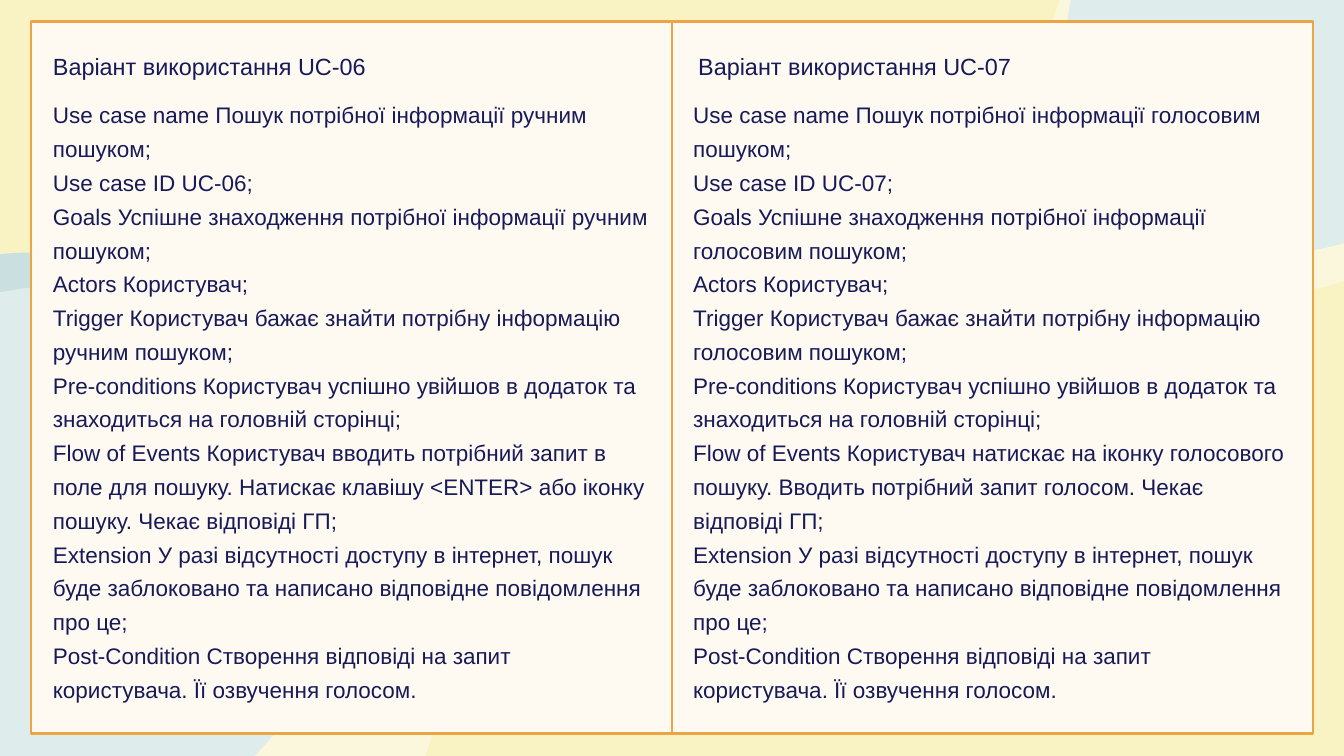
from dataclasses import dataclass

from pptx import Presentation
from pptx.dml.color import RGBColor
from pptx.enum.shapes import MSO_SHAPE as SHAPE
from pptx.enum.text import MSO_ANCHOR as ANCHOR, MSO_AUTO_SIZE as AUTO, PP_ALIGN as ALIGN
from pptx.oxml.ns import qn
from pptx.util import Cm, Pt
from lxml.etree import SubElement


@dataclass(frozen=True)
class Theme:
    """Colours, font and type sizes of the slide."""
    back: str = "F9F3C4"
    circle: str = "CADFDF"
    veil: str = "FFFFFF"
    panel: str = "FEFAF1"
    border: str = "EBA545"
    ink: str = "171A59"
    font: str = "Arial"
    heading: tuple = (25.1, 46)
    body: tuple = (24.1, 36.2)


THEME = Theme()
COMPARISON_LAYOUT = 4

CIRCLES = [
    ((-10.49, 9.55, 23.32, 22.53), THEME.circle, None),
    ((-11.1, 10.77, 27.91, 27), THEME.veil, 41),
    ((40.28, -6.1, 16.18, 15.65), THEME.circle, None),
    ((39.52, -5.33, 16.97, 16.41), THEME.veil, 41),
]

PANEL_TOP, PANEL_WIDTH, PANEL_HEIGHT = 0.81, 24.23, 26.92

USE_CASES = [
    dict(id="UC-06", way="ручним", left=1.17, heading_left=2, body_left=2,
         heading_idx=0, body_idx=2,
         flow="вводить потрібний запит в поле для пошуку. Натискає клавішу <ENTER> або іконку пошуку."),
    dict(id="UC-07", way="голосовим", left=25.4, heading_left=26.39, body_left=26.2,
         heading_idx=3, body_idx=4,
         flow="натискає на іконку голосового пошуку. Вводить потрібний запит голосом."),
]

HEADING = "Варіант використання {id}"
DETAILS = [
    "Use case name Пошук потрібної інформації {way} пошуком;",
    "Use case ID {id};",
    "Goals Успішне знаходження потрібної інформації {way} пошуком;",
    "Actors Користувач;",
    "Trigger Користувач бажає знайти потрібну інформацію {way} пошуком;",
    "Pre-conditions Користувач успішно увійшов в додаток та знаходиться на головній сторінці;",
    "Flow of Events Користувач {flow} Чекає відповіді ГП;",
    "Extension У разі відсутності доступу в інтернет, пошук буде заблоковано та написано "
    "відповідне повідомлення про це;",
    "Post-Condition Створення відповіді на запит користувача. Її озвучення голосом.",
]


def set_attrs(obj, values):
    """Set each named attribute of an object."""
    for name, value in values.items():
        setattr(obj, name, value)


def add_filled(s, kind, box, colour, alpha=None):
    """Add a preset shape with a solid fill and no line."""
    sp = s.shapes.add_shape(kind, *map(Cm, box))
    sp.shadow.inherit = False
    sp.fill.solid()
    sp.fill.fore_color.rgb = RGBColor.from_string(colour)
    sp.line.fill.background()
    if alpha is not None:
        clr = sp.fill._xPr.find(qn("a:solidFill"))[0]
        SubElement(clr, qn("a:alpha"), val=str(alpha * 1000))
    return sp


def add_panel(s, left):
    """Add one bordered panel."""
    sp = add_filled(s, SHAPE.RECTANGLE, (left, PANEL_TOP, PANEL_WIDTH, PANEL_HEIGHT), THEME.panel)
    sp.line.color.rgb = RGBColor.from_string(THEME.border)
    sp.line.width = Pt(3)


def fill_placeholder(s, idx, box, lines, style):
    """Place a placeholder in front and fill it with plain paragraphs."""
    sp = next(ph for ph in s.placeholders if ph.placeholder_format.idx == idx)
    s.shapes._spTree.append(sp._element)
    set_attrs(sp, dict(zip(("left", "top", "width", "height"), map(Cm, box))))
    tf = sp.text_frame
    set_attrs(tf, dict(margin_left=0, margin_top=0, margin_right=0, margin_bottom=0,
                       word_wrap=True, auto_size=AUTO.NONE, vertical_anchor=ANCHOR.TOP))
    size, spacing = style
    for i, line in enumerate(lines):
        p = tf.add_paragraph() if i else tf.paragraphs[0]
        r = p.add_run()
        r.text = line
        pPr = p._p.get_or_add_pPr()
        pPr.set("marL", "0")
        pPr.set("indent", "0")
        set_attrs(p, dict(alignment=ALIGN.LEFT, line_spacing=Pt(spacing),
                          space_before=Pt(0), space_after=Pt(0)))
        SubElement(pPr, qn("a:buNone"))
        set_attrs(r.font, dict(name=THEME.font, size=Pt(size), bold=False))
        r.font.color.rgb = RGBColor.from_string(THEME.ink)


def add_use_case(s, case):
    """Write the heading and the details of one use case."""
    fill_placeholder(s, case["heading_idx"], (case["heading_left"], 1.4, 21.62, 1.5),
                     [HEADING.format(**case)], THEME.heading)
    fill_placeholder(s, case["body_idx"], (case["body_left"], 3.58, 22.63, 22.83),
                     [line.format(**case) for line in DETAILS], THEME.body)


def remove_empty(s):
    """Remove the placeholders left without text."""
    for ph in list(s.placeholders):
        if not ph.text_frame.text:
            ph._element.getparent().remove(ph._element)


def main():
    """Build and save the slide."""
    prs = Presentation()
    set_attrs(prs, dict(slide_width=Cm(50.8), slide_height=Cm(28.58)))
    s = prs.slides.add_slide(prs.slide_layouts[COMPARISON_LAYOUT])
    s.background.fill.solid()
    s.background.fill.fore_color.rgb = RGBColor.from_string(THEME.back)
    for box, colour, alpha in CIRCLES:
        add_filled(s, SHAPE.OVAL, box, colour, alpha)
    for case in reversed(USE_CASES):
        add_panel(s, case["left"])
    for case in USE_CASES:
        add_use_case(s, case)
    remove_empty(s)
    prs.save("out.pptx")


if __name__ == "__main__":
    main()
